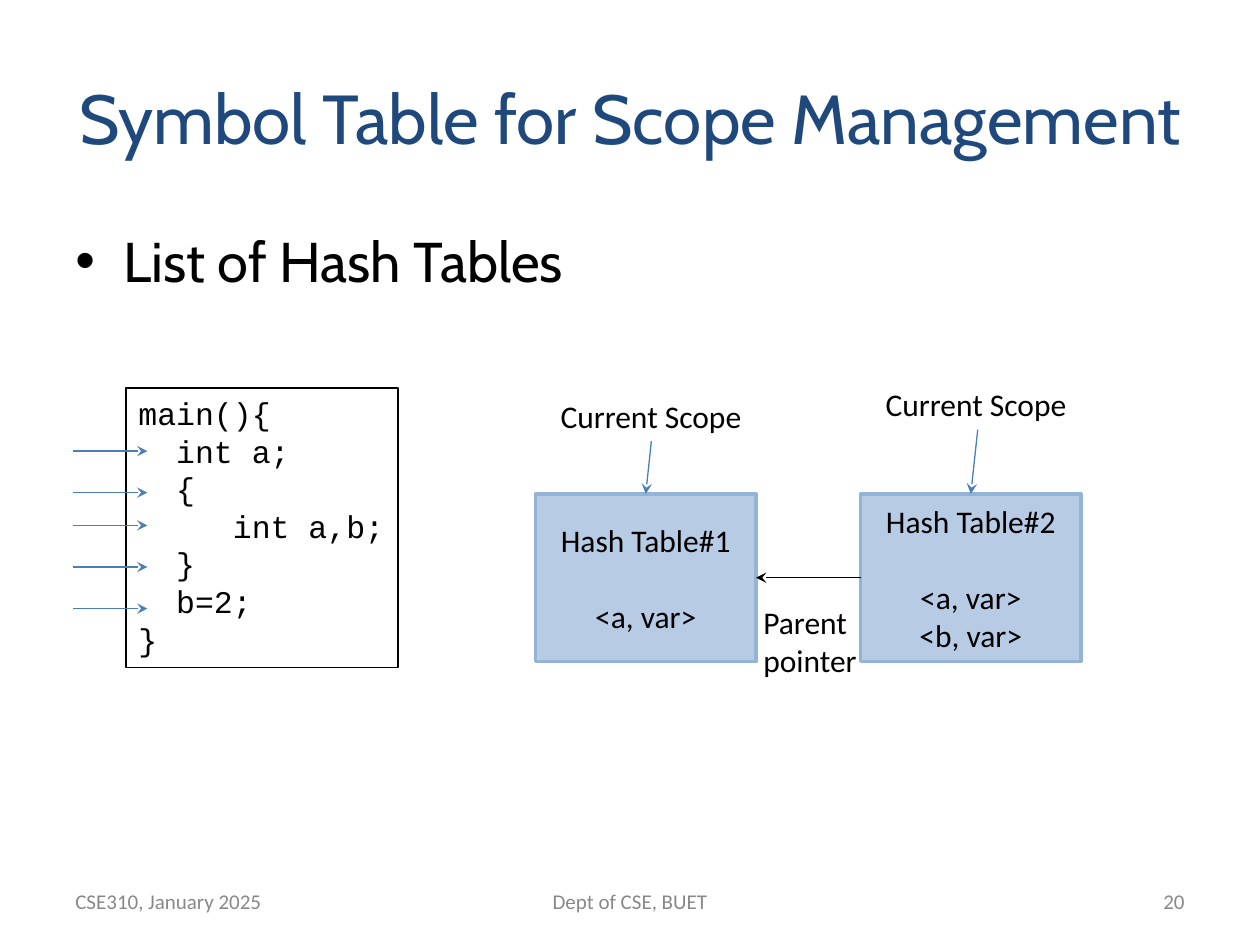
from dataclasses import dataclass

from lxml.etree import SubElement
from pptx import Presentation
from pptx.dml.color import RGBColor
from pptx.enum.shapes import MSO_CONNECTOR, MSO_SHAPE
from pptx.enum.text import MSO_ANCHOR, MSO_AUTO_SIZE, PP_ALIGN
from pptx.oxml.ns import qn
from pptx.util import Inches, Pt


@dataclass(frozen=True)
class Theme:
    heading_font: str = "Cabin"
    body_font: str = "Calibri"
    code_font: str = "Courier New"
    title: str = "1F497D"
    text: str = "000000"
    muted: str = "888888"
    arrow: str = "4A7DBA"
    table_fill: str = "B7CCE4"
    table_line: str = "93B3D7"
    title_size: float = 39.6
    bullet_size: int = 32
    body_size: int = 18
    footer_size: int = 12


THEME = Theme()
CODE_INDENT = 0.15  # width of one code character
CODE_LINES = [(0, "main(){"), (2, "int a;"), (2, "{"), (5, "int a,b;"),
              (2, "}"), (2, "b=2;"), (0, "}")]
STEP_YS = [3.58, 3.91, 4.17, 4.5, 4.83]
TABLE_TOP, TABLE_W, TABLE_H = 3.92, 1.75, 1.33


def rgb(value):
    return RGBColor.from_string(value)


def fill_text(sp, lines, size=THEME.body_size, font=THEME.body_font,
              color=THEME.text, align=PP_ALIGN.LEFT, anchor=MSO_ANCHOR.TOP):
    """Put one paragraph per line into a shape and format it."""
    tf = sp.text_frame
    tf.text = "\n".join(lines)
    tf.word_wrap = True
    tf.auto_size = MSO_AUTO_SIZE.NONE
    tf.vertical_anchor = anchor
    if align == PP_ALIGN.LEFT:
        tf.margin_right = Inches(0.05)
    for p in tf.paragraphs:
        p.alignment = align
        for r in p.runs:
            r.font.size = Pt(size)
            r.font.name = font
            r.font.color.rgb = rgb(color)
    return tf


def add_label(s, x, y, w, h, lines, **style):
    sp = s.shapes.add_textbox(Inches(x), Inches(y), Inches(w), Inches(h))
    return fill_text(sp, lines, **style)


def add_box(s, x, y, w, h, line, line_width, fill=None):
    sp = s.shapes.add_shape(MSO_SHAPE.RECTANGLE, Inches(x), Inches(y),
                            Inches(w), Inches(h))
    sp.shadow.inherit = False
    if fill:
        sp.fill.solid()
        sp.fill.fore_color.rgb = rgb(fill)
    else:
        sp.fill.background()
    sp.line.color.rgb = rgb(line)
    sp.line.width = Pt(line_width)
    return sp


def add_arrow(s, x1, y1, x2, y2, color=THEME.arrow):
    cx = s.shapes.add_connector(MSO_CONNECTOR.STRAIGHT, Inches(x1), Inches(y1),
                                Inches(x2), Inches(y2))
    cx.line.color.rgb = rgb(color)
    cx.line.width = Pt(0.75)
    SubElement(cx.line._get_or_add_ln(), qn("a:tailEnd"), type="stealth")
    SubElement(cx._element.spPr, qn("a:effectLst"))


def add_title(s, text):
    sp = s.shapes.title
    sp.left, sp.top = Inches(0.5), Inches(0.3)
    sp.width, sp.height = Inches(9), Inches(1.25)
    fill_text(sp, [text], THEME.title_size, THEME.heading_font, THEME.title,
              PP_ALIGN.CENTER, MSO_ANCHOR.MIDDLE)


def add_bullet(s, text):
    tf = add_label(s, 0.5, 1.75, 9, 4.95, [text], size=THEME.bullet_size,
                   font=THEME.heading_font)
    pPr = tf.paragraphs[0]._p.get_or_add_pPr()
    pPr.set("marL", str(Inches(0.38)))
    pPr.set("indent", str(Inches(-0.38)))
    SubElement(pPr, qn("a:buFont"), typeface="Arial")
    SubElement(pPr, qn("a:buChar"), char="•")


def add_code(s):
    sp = add_box(s, 1, 3.08, 2.16, 2.22, THEME.text, 0.75)
    tf = fill_text(sp, [code for _, code in CODE_LINES], font=THEME.code_font)
    for p, (depth, _) in zip(tf.paragraphs, CODE_LINES):
        p.line_spacing = Pt(21.5)
        p._p.get_or_add_pPr().set("marL", str(Inches(depth * CODE_INDENT)))


def add_hash_table(s, x, name, entries):
    sp = add_box(s, x, TABLE_TOP, TABLE_W, TABLE_H, THEME.table_line, 2,
                 THEME.table_fill)
    tf = fill_text(sp, [name, *entries], align=PP_ALIGN.CENTER,
                   anchor=MSO_ANCHOR.MIDDLE)
    tf.paragraphs[1].space_before = Pt(22)


def add_scope(s, x, y, arrow_x, table_x):
    """Label a table as the current scope and point to its top centre."""
    add_label(s, x, y, 1.65, 0.4, ["Current Scope"])
    add_arrow(s, arrow_x, y + 0.4, table_x + TABLE_W / 2, TABLE_TOP)


def add_footer(s, x, w, text, align):
    add_label(s, x, 6.95, w, 0.4, [text], size=THEME.footer_size,
              color=THEME.muted, align=align, anchor=MSO_ANCHOR.MIDDLE)


def main():
    prs = Presentation()
    prs.slide_width, prs.slide_height = Inches(10), Inches(7.5)
    s = prs.slides.add_slide(prs.slide_layouts[5])

    # Heading and bullet
    add_title(s, "Symbol Table for Scope Management")
    add_bullet(s, "List of Hash Tables")

    # Code with the execution steps
    add_code(s)
    for y in STEP_YS:
        add_arrow(s, 0.58, y, 1.17, y)

    # Linked hash tables
    first_x, second_x = 4.25, 6.83
    add_hash_table(s, first_x, "Hash Table#1", ["<a, var>"])
    add_hash_table(s, second_x, "Hash Table#2", ["<a, var>", "<b, var>"])
    link_y = TABLE_TOP + TABLE_H / 2
    add_arrow(s, second_x, link_y, first_x + TABLE_W, link_y, THEME.text)
    add_label(s, 5.96, 4.74, 0.95, 1.01, ["Parent", "pointer"])
    add_scope(s, 4.35, 3.1, 5.17, first_x)
    add_scope(s, 6.93, 3.01, 7.76, second_x)

    # Footer
    add_footer(s, 4.25, 1.5, "Dept of CSE, BUET", PP_ALIGN.CENTER)
    add_footer(s, 0.5, 2.5, "CSE310, January 2025", PP_ALIGN.LEFT)
    add_footer(s, 7.17, 2.33, "20", PP_ALIGN.RIGHT)

    prs.save("out.pptx")


if __name__ == "__main__":
    main()
